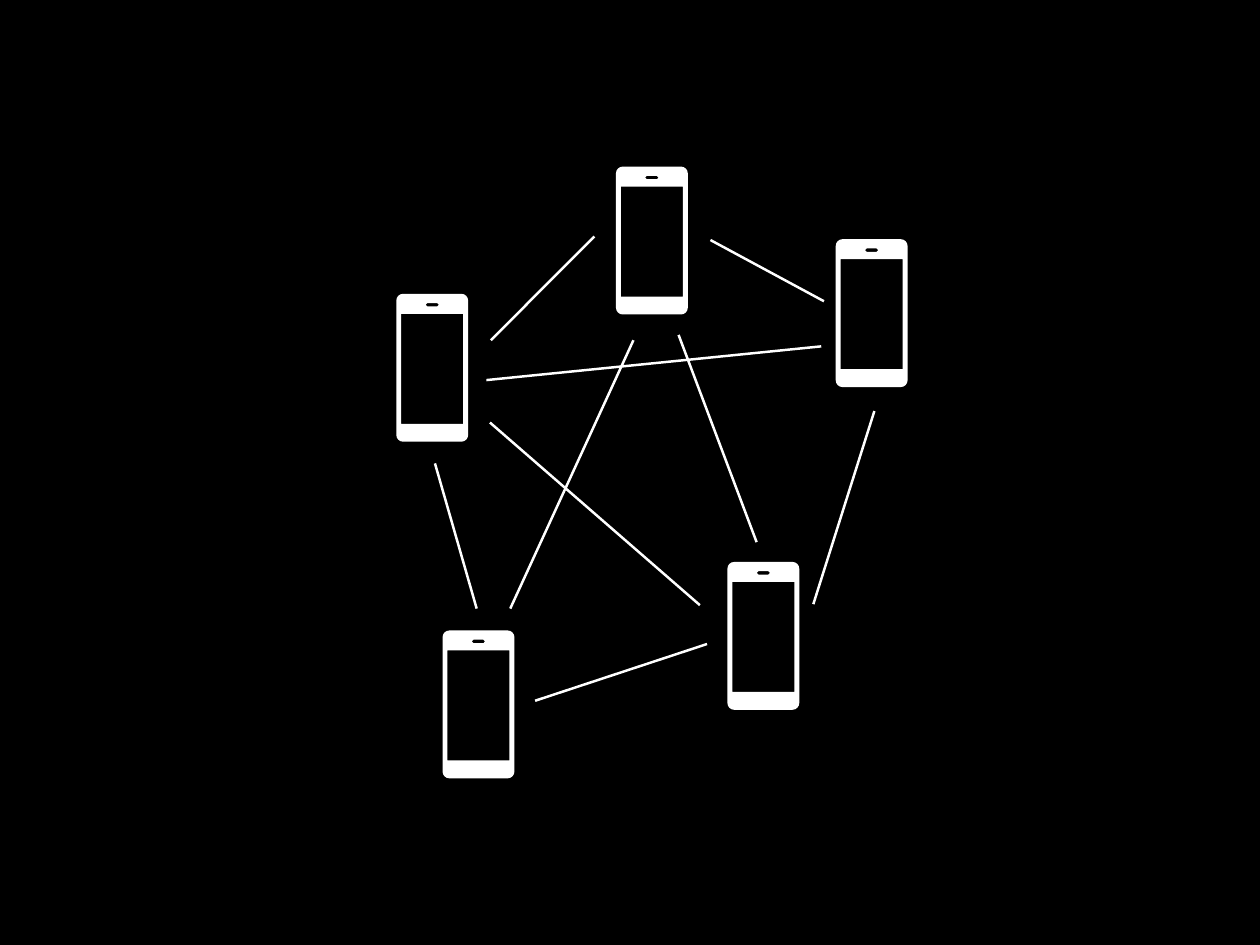
from lxml.etree import SubElement
from pptx import Presentation
from pptx.dml.color import RGBColor
from pptx.enum.shapes import MSO_CONNECTOR as Connector
from pptx.oxml.ns import qn
from pptx.util import Pt

COLORS = {"background": "000000", "phone": "FFFFFF", "link": "FFFFFF"}
PHONE_SIZE = (58.4, 120.2)
ARC = 0.55  # how far the handles of a round corner reach towards its tip

# Top left corner of each phone, in points
PHONES = [(591.2, 456.7), (500.6, 135.4), (322.1, 238.8), (359.7, 512.4), (679.2, 194.4)]

# Both ends of each link, in points
LINKS = [
    ((661, 491), (710.6, 334.1)),
    ((434.9, 569.5), (574.6, 523.4)),
    ((387.4, 494.6), (353.5, 376.6)),
    ((398.9, 276.5), (483.1, 192.2)),
    ((669.6, 244.8), (577.4, 195.1)),
    ((614.9, 440.6), (551.5, 272.2)),
    ((395.3, 308.9), (667.4, 281.5)),
    ((414.7, 494.6), (514.8, 276.5)),
    ((568.8, 491.8), (398.2, 343.4)),
]


def color(name):
    return RGBColor.from_string(COLORS[name])


def outline(left, top, width, height, radius=0):
    """Return a rectangle's points, anticlockwise, with its corners cut off."""
    right, bottom = left + width, top + height
    points = [
        (left + radius, top), (left, top + radius),
        (left, bottom - radius), (left + radius, bottom),
        (right - radius, bottom), (right, bottom - radius),
        (right, top + radius), (right - radius, top),
    ]
    distinct = dict.fromkeys((round(x, 2), round(y, 2)) for x, y in points)
    return [(Pt(x), Pt(y)) for x, y in distinct]


def round_corners(phone):
    """Turn each slanted segment into a curve."""
    start = None
    for segment in phone._element.iter(qn("a:moveTo"), qn("a:lnTo")):
        end = tuple(int(segment[0].get(axis)) for axis in "xy")
        if segment.tag == qn("a:lnTo") and start[0] != end[0] and start[1] != end[1]:
            rising = (end[0] - start[0]) * (end[1] - start[1]) < 0
            tip = (end[0], start[1]) if rising else (start[0], end[1])
            segment.tag = qn("a:cubicBezTo")
            for index, anchor in enumerate((start, end)):
                handle = SubElement(segment, qn("a:pt"))
                for axis, near, far in zip("xy", anchor, tip):
                    handle.set(axis, str(round(near + ARC * (far - near))))
                segment.insert(index, handle)
        start = end


def add_phone(slide, left, top, width, height):
    # The speaker slot and the screen are holes in the body
    body = outline(left, top, width, height, 5.5)
    slot = outline(left + 23.8, top + 7.5, width - 47.6, 2.8, 1.4)
    screen = outline(left + 4, top + 16.3, width - 8, 89.4)

    builder = slide.shapes.build_freeform(*body[0])
    builder.add_line_segments(body[1:], close=True)
    for hole in (slot, screen):
        builder.move_to(*hole[0])
        builder.add_line_segments(hole[1:], close=True)

    phone = builder.convert_to_shape()
    round_corners(phone)
    phone.shadow.inherit = False
    phone.fill.solid()
    phone.fill.fore_color.rgb = color("phone")
    phone.line.fill.background()


def add_link(slide, start, end):
    ends = [Pt(value) for value in (*start, *end)]
    link = slide.shapes.add_connector(Connector.STRAIGHT, *ends)
    link.line.color.rgb = color("link")
    link.line.width = Pt(2)
    SubElement(link._element.spPr, qn("a:effectLst"))


def add_network_slide(deck):
    slide = deck.slides.add_slide(deck.slide_layouts[6])
    slide.background.fill.solid()
    slide.background.fill.fore_color.rgb = color("background")
    for left, top in PHONES:
        add_phone(slide, left, top, *PHONE_SIZE)
    for start, end in LINKS:
        add_link(slide, start, end)


def main():
    deck = Presentation()
    deck.slide_width, deck.slide_height = Pt(1024), Pt(768)
    add_network_slide(deck)
    deck.save("out.pptx")


if __name__ == "__main__":
    main()
